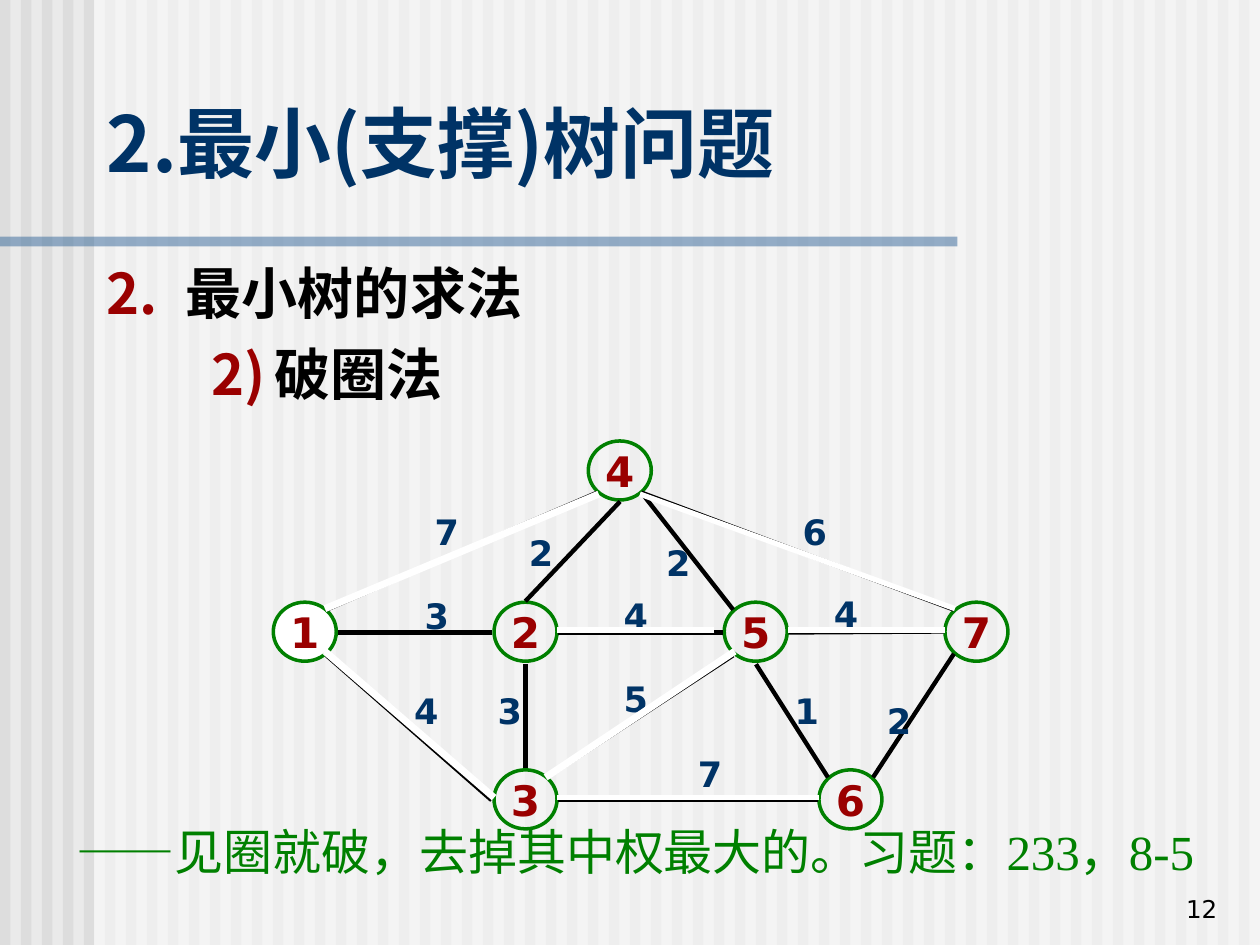
from lxml.etree import SubElement
from pptx import Presentation
from pptx.dml.color import RGBColor
from pptx.enum.shapes import MSO_CONNECTOR, MSO_SHAPE
from pptx.enum.text import MSO_ANCHOR, PP_ALIGN
from pptx.oxml.ns import qn
from pptx.util import Cm, Pt

BACK = RGBColor(0xEA, 0xEA, 0xEA)
STRIPE = RGBColor(0xDD, 0xDD, 0xDD)
WHITE = RGBColor(0xFF, 0xFF, 0xFF)
BLACK = RGBColor(0x00, 0x00, 0x00)
BLUE = RGBColor(0x33, 0x66, 0x99)
NAVY = RGBColor(0x00, 0x33, 0x66)
RED = RGBColor(0x9A, 0x00, 0x00)
GREEN = RGBColor(0x00, 0x80, 0x00)
CJK = "Noto Sans CJK SC"
SANS = "DejaVu Sans"

prs = Presentation()
prs.slide_width, prs.slide_height = Cm(25.4), Cm(19.05)
s = prs.slides.add_slide(prs.slide_layouts[6])
s.background.fill.solid()
s.background.fill.fore_color.rgb = BACK


def write(sp, lines, size, color, font, bold=False, align=PP_ALIGN.LEFT,
          anchor=MSO_ANCHOR.TOP, wrap=True):
    tf = sp.text_frame
    tf.text = lines
    tf.word_wrap = wrap
    tf.vertical_anchor = anchor
    for p in tf.paragraphs:
        p.alignment = align
        for r in p.runs:
            r.font.size, r.font.bold = Pt(size), bold
            r.font.name = font
            r.font.color.rgb = color
            SubElement(r._r.get_or_add_rPr(), qn("a:ea")).set("typeface", CJK)
    return tf


def line(x1, y1, x2, y2, color, width):
    c = s.shapes.add_connector(MSO_CONNECTOR.STRAIGHT, Cm(x1), Cm(y1), Cm(x2), Cm(y2))
    c.line.color.rgb = color
    c.line.width = Pt(width)
    SubElement(c._element.spPr, qn("a:effectLst"))


bands = [(i * 25.4 / 60, 0, 0.21, 19.05, STRIPE, 100) for i in range(60)]
bands += [(1.9, 0, 23.5, 19.05, WHITE, 50), (0, 4.77, 19.3, 0.2, BLUE, 50)]
for x, y, w, h, color, alpha in bands:
    sp = s.shapes.add_shape(MSO_SHAPE.RECTANGLE, Cm(x), Cm(y), Cm(w), Cm(h))
    sp.shadow.inherit = False
    sp.line.fill.background()
    sp.fill.solid()
    sp.fill.fore_color.rgb = color
    if alpha < 100:
        clr = sp.fill._xPr.find(qn("a:solidFill"))[0]
        SubElement(clr, qn("a:alpha")).set("val", str(alpha * 1000))

number = s.shapes.add_textbox(Cm(19.5), Cm(17.47), Cm(5.29), Cm(1.27))
write(number, "12", 14, BLACK, SANS, align=PP_ALIGN.RIGHT, anchor=MSO_ANCHOR.BOTTOM)

title = s.shapes.add_textbox(Cm(1.9), Cm(1.27), Cm(21.59), Cm(3.18))
write(title, "2.最小(支撑)树问题", 44, NAVY, CJK, True, anchor=MSO_ANCHOR.MIDDLE)

body = s.shapes.add_textbox(Cm(1.9), Cm(5.08), Cm(21.59), Cm(12.9))
tf = write(body, "最小树的求法\n破圈法", 32, BLACK, "Arial", True, PP_ALIGN.JUSTIFY)
tf.paragraphs[1].runs[0].font.name = CJK
levels = [(1.6, -1.6, "arabicPeriod"), (3.38, -1.27, "arabicParenR")]
for i, (p, (left, indent, scheme)) in enumerate(zip(tf.paragraphs, levels)):
    p.level = i
    p.space_before = Pt(8)
    pPr = p._p.get_or_add_pPr()
    pPr.set("marL", str(Cm(left)))
    pPr.set("indent", str(Cm(indent)))
    SubElement(SubElement(pPr, qn("a:buClr")), qn("a:srgbClr")).set("val", str(RED))
    SubElement(pPr, qn("a:buFont")).set("typeface", CJK)
    num = SubElement(pPr, qn("a:buAutoNum"))
    num.set("type", scheme)
    num.set("startAt", "2")

nodes = [("1", 5.51, 12.14), ("4", 11.86, 8.89), ("2", 9.96, 12.14), ("3", 9.96, 15.52),
         ("5", 14.6, 12.14), ("6", 16.51, 15.52), ("7", 19.05, 12.14)]
for name, x, y in nodes:
    sp = s.shapes.add_shape(MSO_SHAPE.OVAL, Cm(x), Cm(y), Cm(1.27), Cm(1.19))
    sp.shadow.inherit = False
    sp.line.color.rgb = GREEN
    sp.line.width = Pt(2)
    if name == "1":
        sp.fill.solid()
        sp.fill.fore_color.rgb = WHITE
    else:
        sp.fill.background()
    write(sp, name, 24, RED, SANS, True, PP_ALIGN.CENTER, MSO_ANCHOR.MIDDLE, False)

edges = [(6.58, 12.29, 12.04, 9.93), (6.58, 13.21, 9.91, 16.13), (6.81, 12.75, 9.91, 12.75),
         (12.93, 9.93, 14.78, 12.29), (11.25, 16.13, 16.48, 16.13),
         (11.02, 15.67, 14.78, 13.21), (11.25, 12.75, 14.58, 12.75),
         (12.5, 10.11, 10.59, 12.12), (17.6, 15.67, 19.23, 13.18),
         (15.9, 12.75, 19.02, 12.73), (16.69, 15.67, 15.24, 13.39),
         (12.93, 9.93, 19.23, 12.29), (10.59, 13.39, 10.59, 15.49)]
for edge in edges:
    line(*edge, BLACK, 2.5)

weights = [("2", 17.63, 13.97), ("3", 8.31, 11.86), ("3", 9.78, 13.77), ("7", 13.82, 15.04),
           ("2", 10.41, 10.59), ("2", 13.18, 10.8), ("4", 12.32, 11.86), ("4", 8.1, 13.77),
           ("1", 15.77, 13.77), ("6", 15.93, 10.16), ("5", 12.32, 13.54),
           ("4", 16.56, 11.81), ("7", 8.51, 10.16)]
for weight, x, y in weights:
    tb = s.shapes.add_textbox(Cm(x), Cm(y), Cm(0.91), Cm(1.12))
    write(tb, weight, 20, NAVY, SANS, True, PP_ALIGN.CENTER, wrap=False)

removed = [(6.55, 12.27, 12.07, 9.96, 4), (19.25, 12.27, 12.9, 9.96, 3),
           (16.51, 16.08, 11.23, 16.08, 3), (14.81, 13.13, 11, 15.67, 4),
           (9.96, 16.08, 6.55, 13.13, 4), (14.4, 12.7, 11.23, 12.7, 4),
           (19.05, 12.7, 15.88, 12.7, 4)]
for *edge, width in removed:
    line(*edge, WHITE, width)

rule = s.shapes.add_textbox(Cm(1.3), Cm(16.43), Cm(23.6), Cm(2.64))
tf = write(rule, "——见圈就破，去掉其中权最大的。习题：233，8-5", 28, GREEN, "Times New Roman")
tf.paragraphs[0].space_before = Pt(17.5)

prs.save("out.pptx")
